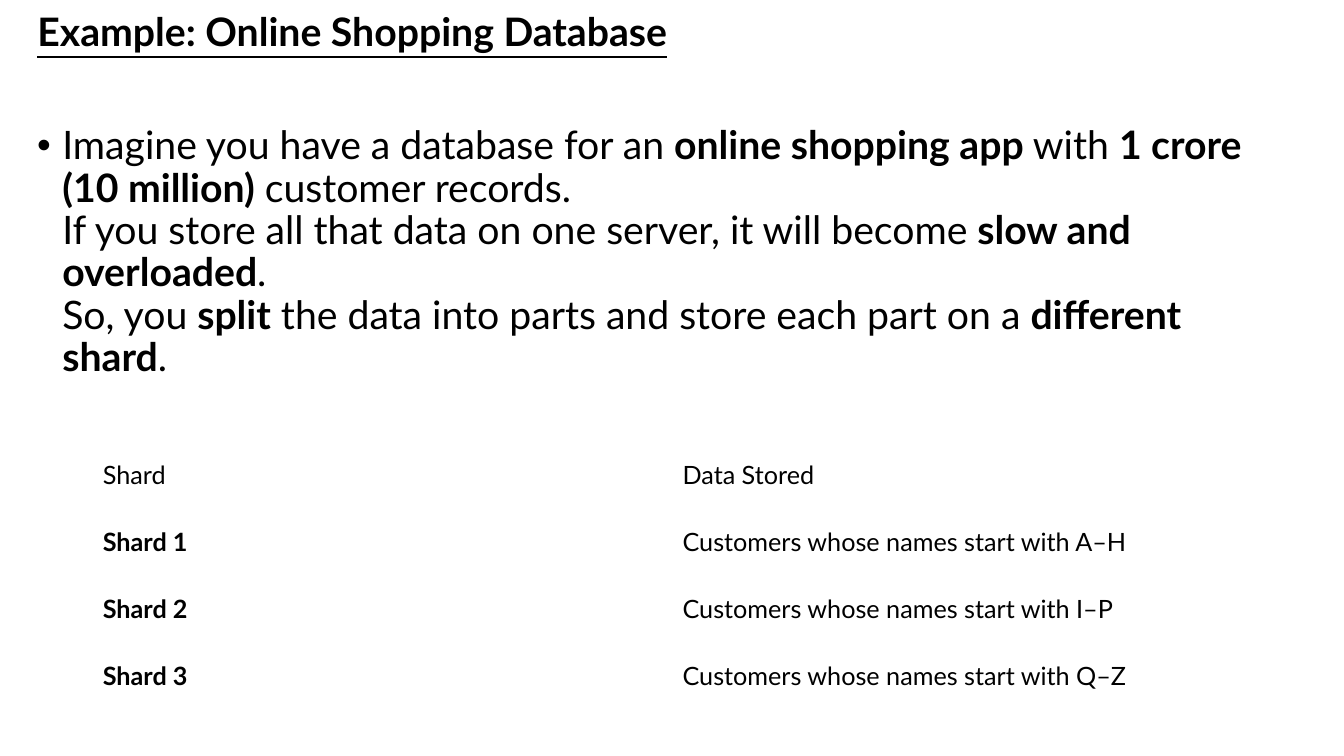
"""Build the slide that explains sharding with an online shopping database."""
from typing import NamedTuple

from lxml.etree import SubElement
from pptx import Presentation
from pptx.dml.color import RGBColor
from pptx.enum.text import MSO_ANCHOR, MSO_AUTO_SIZE, PP_ALIGN
from pptx.oxml.ns import qn
from pptx.util import Inches, Pt

COLORS = {"text": "000000", "background": "FFFFFF"}
FONT = "Lato"


class Span(NamedTuple):
    """A stretch of text in one weight."""
    text: str
    bold: bool = False


class Shard(NamedTuple):
    """A table row: a shard and the data it holds."""
    name: str
    data: str


HEADING = "Example: Online Shopping Database"
EXPLANATION = [
    [Span("Imagine you have a database for an "), Span("online shopping app", True),
     Span(" with "), Span("1 crore (10 million)", True), Span(" customer records.")],
    [Span("If you store all that data on one server, it will become "),
     Span("slow and overloaded", True), Span(".")],
    [Span("So, you "), Span("split", True),
     Span(" the data into parts and store each part on a "),
     Span("different shard", True), Span(".")],
]
HEADER = Shard("Shard", "Data Stored")
SHARDS = [Shard(f"Shard {number}", f"Customers whose names start with {letters}")
          for number, letters in enumerate(("A–H", "I–P", "Q–Z"), start=1)]


def style(paragraph, size: float, bold: bool | None = None) -> None:
    """Set the common font of a paragraph."""
    font = paragraph.font
    font.name, font.size, font.bold = FONT, Pt(size), bold
    font.color.rgb = RGBColor.from_string(COLORS["text"])


def set_frame(frame) -> None:
    """Wrap a text frame and anchor it at the top."""
    frame.word_wrap = True
    frame.auto_size = MSO_AUTO_SIZE.NONE
    frame.vertical_anchor = MSO_ANCHOR.TOP


def add_heading(page) -> None:
    """Place and format the underlined title."""
    title = page.shapes.title
    title.left, title.top = Inches(0.27), Inches(0.08)
    title.width, title.height = Inches(12.15), Inches(0.6)
    set_frame(title.text_frame)
    paragraph = title.text_frame.paragraphs[0]
    paragraph.text = HEADING
    paragraph.alignment = PP_ALIGN.LEFT
    paragraph.line_spacing = 0.9
    style(paragraph, 28, True)
    paragraph.font.underline = True


def add_explanation(page) -> None:
    """Add the bulleted explanation with its line breaks."""
    box = page.shapes.add_textbox(Inches(0.27), Inches(1.2), Inches(12.15), Inches(2.7))
    set_frame(box.text_frame)
    paragraph = box.text_frame.paragraphs[0]
    paragraph.line_spacing = 0.9
    properties = paragraph._p.get_or_add_pPr()
    properties.set("marL", str(Inches(0.25)))
    properties.set("indent", str(-Inches(0.25)))
    SubElement(properties, qn("a:buFont"), typeface="Arial")
    SubElement(properties, qn("a:buChar"), char="•")
    style(paragraph, 28)
    for index, line in enumerate(EXPLANATION):
        if index:
            paragraph.add_line_break()
        for span in line:
            run = paragraph.add_run()
            run.text, run.font.bold = span.text, span.bold


def add_shard_table(page) -> None:
    """Add the table of shards without fills."""
    rows = [HEADER, *SHARDS]
    table = page.shapes.add_table(len(rows), len(HEADER), Inches(0.92), Inches(4.38),
                                  Inches(11.5), Inches(2.66)).table
    table.first_row = table.horz_banding = False
    for row_index, row in enumerate(rows):
        for column, text in enumerate(row):
            cell = table.cell(row_index, column)
            cell.text = text
            cell.fill.background()
            cell.vertical_anchor = MSO_ANCHOR.MIDDLE
            style(cell.text_frame.paragraphs[0], 18, row_index > 0 and column == 0)


def main() -> None:
    """Create the deck and save it."""
    deck = Presentation()
    deck.slide_width, deck.slide_height = Inches(13.33), Inches(7.5)
    page = deck.slides.add_slide(deck.slide_layouts[5])
    page.background.fill.solid()
    page.background.fill.fore_color.rgb = RGBColor.from_string(COLORS["background"])
    add_heading(page)
    add_explanation(page)
    add_shard_table(page)
    deck.save("out.pptx")


if __name__ == "__main__":
    main()
